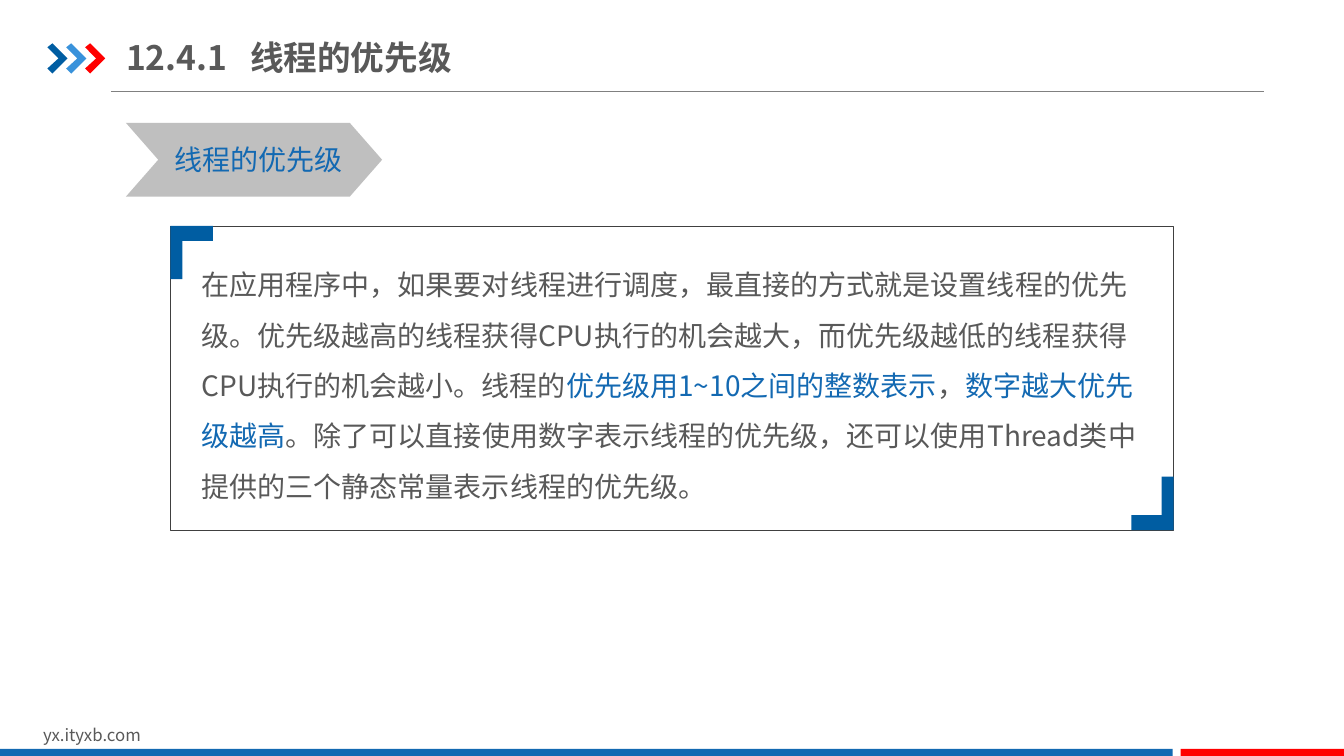
from lxml import etree
from pptx import Presentation
from pptx.dml.color import RGBColor
from pptx.enum.shapes import MSO_CONNECTOR, MSO_SHAPE
from pptx.enum.text import MSO_ANCHOR, MSO_AUTO_SIZE, PP_ALIGN
from pptx.oxml.ns import qn
from pptx.util import Inches, Pt

STRAIGHT = MSO_CONNECTOR.STRAIGHT
RECT, CHEVRON = MSO_SHAPE.RECTANGLE, MSO_SHAPE.CHEVRON
MIDDLE, LEFT = MSO_ANCHOR.MIDDLE, PP_ALIGN.LEFT
NO_FIT, GROW = MSO_AUTO_SIZE.NONE, MSO_AUTO_SIZE.SHAPE_TO_FIT_TEXT

FONT = "Noto Sans CJK SC"
COLORS = {"text": "595959", "blue": "1369B2", "navy": "005DA2", "sky": "3992DB",
          "red": "FF0000", "rule": "808080", "tag": "BFBFBF", "frame": "404040"}
W, H = 13.33, 7.5


def style_run(r, size, color, bold=False):
    r.font.size = Pt(size)
    r.font.bold = bold
    r.font.color.rgb = RGBColor.from_string(COLORS[color])
    r.font.name = FONT
    etree.SubElement(r.font._element, qn("a:ea")).set("typeface", FONT)


def draw_outline(points, color):
    pts = [(Inches(x), Inches(y)) for x, y in points]
    builder = s.shapes.build_freeform(*pts[0], scale=1.0)
    builder.add_line_segments(pts[1:], close=True)
    sp = builder.convert_to_shape()
    sp.shadow.inherit = False
    sp.fill.solid()
    sp.fill.fore_color.rgb = RGBColor.from_string(COLORS[color])
    sp.line.fill.background()


prs = Presentation()
prs.slide_width, prs.slide_height = Inches(W), Inches(H)
s = prs.slides.add_slide(prs.slide_layouts[5])

# Title, with a tab between number and heading
title = s.shapes.title
title.left, title.top = Inches(1.25), Inches(0.29)
title.width, title.height = Inches(5.71), Inches(0.55)
tf = title.text_frame
tf.auto_size = NO_FIT
tf.vertical_anchor = MIDDLE
tf.margin_left = tf.margin_right = 0
tf.margin_top = tf.margin_bottom = Inches(0.07)
tf.text = "12.4.1\t线程的优先级"
p = tf.paragraphs[0]
p.alignment = LEFT
tabs = etree.SubElement(p._p.get_or_add_pPr(), qn("a:tabLst"))
etree.SubElement(tabs, qn("a:tab"), pos=str(Inches(1.23)), algn="l")
style_run(p.runs[0], 24, "text", bold=True)

# Rule under the title
rule = s.shapes.add_connector(STRAIGHT, Inches(1.1), Inches(0.91), Inches(12.54), Inches(0.91))
rule.line.color.rgb = RGBColor.from_string(COLORS["rule"])
rule.line.width = Pt(0.75)
etree.SubElement(rule._element.spPr, qn("a:effectLst"))

# Three arrows before the title
arrow = [(0, 0.47), (0.05, 0.43), (0.2, 0.58), (0.05, 0.73), (0, 0.68), (0.11, 0.58)]
for i, color in enumerate(["navy", "sky", "red"]):
    draw_outline([(0.47 + 0.187 * i + x, y) for x, y in arrow], color)

# Footer bars and section tag
for kind, x, y, w, h, color in [(RECT, 0, 7.43, 11.63, 0.09, "blue"),
                                (RECT, 11.71, 7.43, 1.63, 0.09, "red"),
                                (CHEVRON, 1.25, 1.22, 2.54, 0.73, "tag")]:
    sp = s.shapes.add_shape(kind, Inches(x), Inches(y), Inches(w), Inches(h))
    sp.shadow.inherit = False
    sp.fill.solid()
    sp.fill.fore_color.rgb = RGBColor.from_string(COLORS[color])
    sp.line.fill.background()
    if kind == CHEVRON:
        sp.adjustments[0] = 0.438

# Frame with two corners, the second mirrored through the slide centre
frame = s.shapes.add_shape(RECT, Inches(1.69), Inches(2.24), Inches(9.95), Inches(3.02))
frame.shadow.inherit = False
frame.fill.background()
frame.line.color.rgb = RGBColor.from_string(COLORS["frame"])
frame.line.width = Pt(0.25)
corner = [(1.69, 2.24), (2.11, 2.24), (2.11, 2.39), (1.81, 2.39), (1.81, 2.77), (1.69, 2.77)]
draw_outline(corner, "navy")
draw_outline([(W - x, H - y) for x, y in corner], "navy")

# Footer address, tag label and body text
body = [
    ("在应用程序中，如果要对线程进行调度，最直接的方式就是设置线程的优先级。"
     "优先级越高的线程获得CPU执行的机会越大，而优先级越低的线程获得CPU执行的机会越小。线程的", "text"),
    ("优先级用1~10之间的整数表示", "blue"),
    ("，", "text"),
    ("数字越大优先级越高", "blue"),
    ("。除了可以直接使用数字表示线程的优先级，"
     "还可以使用Thread类中提供的三个静态常量表示线程的优先级。", "text"),
]
for x, y, w, h, size, wrap, spacing, runs in [
        (0.33, 7.14, 3.18, 0.3, 12, True, 1.0, [("yx.ityxb.com", "text")]),
        (1.63, 1.36, 1.87, 0.44, 20, False, 1.0, [("线程的优先级", "blue")]),
        (1.9, 2.44, 9.52, 2.62, 20, True, 1.5, body)]:
    tf = s.shapes.add_textbox(Inches(x), Inches(y), Inches(w), Inches(h)).text_frame
    tf.word_wrap = wrap
    tf.auto_size = GROW
    p = tf.paragraphs[0]
    p.line_spacing = spacing
    for text, color in runs:
        r = p.add_run()
        r.text = text
        style_run(r, size, color)

prs.save("out.pptx")
